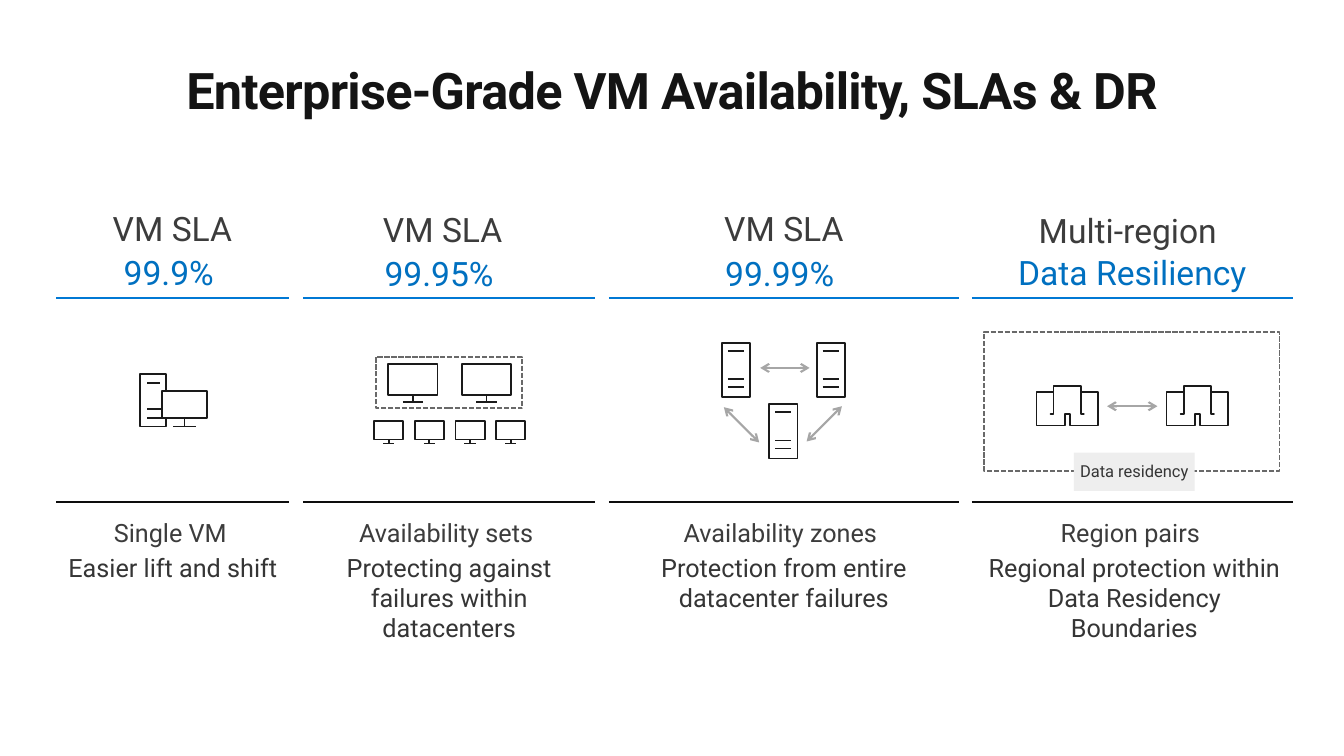
from lxml.etree import SubElement
from pptx import Presentation
from pptx.dml.color import RGBColor
from pptx.enum.dml import MSO_LINE_DASH_STYLE as Dash
from pptx.enum.shapes import MSO_CONNECTOR_TYPE as Connector, MSO_SHAPE as Shape
from pptx.enum.text import MSO_ANCHOR as Anchor, PP_ALIGN as Align
from pptx.oxml.ns import qn
from pptx.util import Inches, Pt

FONT = "Roboto"
TITLE_INK = RGBColor(0x14, 0x14, 0x14)
HEADING_INK = RGBColor(0x3C, 0x3C, 0x3C)
BODY_INK = RGBColor(0x35, 0x35, 0x35)
VALUE_BLUE = RGBColor(0x00, 0x70, 0xC0)
RULE_BLUE = RGBColor(0x00, 0x78, 0xD4)
RULE_BLACK = RGBColor(0x0D, 0x0D, 0x0D)
ICON_INK = RGBColor(0x1A, 0x1A, 0x1A)
DASH_GREY = RGBColor(0x69, 0x69, 0x69)
ARROW_GREY = RGBColor(0xA6, 0xA6, 0xA6)
LABEL_FILL = RGBColor(0xEE, 0xEE, 0xEE)

COLUMNS = [
    (0.56, 2.31, "Single VM", "Easier lift and shift"),
    (3.01, 2.89, "Availability sets", "Protecting against failures within datacenters"),
    (6.04, 3.47, "Availability zones", "Protection from entire datacenter failures"),
    (9.64, 3.18, "Region pairs", "Regional protection within Data Residency Boundaries"),
]
CAPTION_BOXES = [(0.56, 2.26, 2.31), (3.01, 2.83, 2.89), (6.04, 3.4, 3.47), (9.69, 3.04, 3.12)]
HEADINGS = [
    ("VM SLA", 1.01, 2.01, 1.4, HEADING_INK),
    ("99.9% ", 1.12, 2.45, 1.19, VALUE_BLUE),
    ("VM SLA", 3.69, 2.02, 1.4, HEADING_INK),
    ("99.95%", 3.65, 2.46, 1.41, VALUE_BLUE),
    ("VM SLA", 6.04, 2.01, 3.47, HEADING_INK),
    ("99.99% ", 6.04, 2.46, 3.47, VALUE_BLUE),
    ("Multi-region", 9.64, 2.03, 3.09, HEADING_INK),
    ("Data Resiliency", 9.64, 2.45, 3.18, VALUE_BLUE),
]
BUILDING = [
    (0.28, 0.39), (0, 0.39), (0, 0.06), (0.17, 0.06), (0.17, 0.28), (0.14, 0.28),
    (0.17, 0.28), (0.17, 0), (0.44, 0), (0.44, 0.28), (0.47, 0.28), (0.44, 0.28),
    (0.44, 0.06), (0.61, 0.06), (0.61, 0.39), (0.33, 0.39), (0.33, 0.28),
    (0.28, 0.28), (0.28, 0.39),
]


def write(frame, text, size, color, bold=False):
    para = frame.paragraphs[0]
    para.alignment = Align.CENTER
    span = para.add_run()
    span.text = text
    span.font.name = FONT
    span.font.size = Pt(size)
    span.font.bold = bold
    span.font.color.rgb = color
    return span


def add_text(page, text, left, top, width, height, size, color, bold=False):
    box = page.shapes.add_textbox(Inches(left), Inches(top), Inches(width), Inches(height))
    box.text_frame.word_wrap = True
    return box, write(box.text_frame, text, size, color, bold)


def add_title(page):
    box, span = add_text(page, "Enterprise-Grade VM Availability, SLAs & DR",
                         0, 0.49, 13.33, 0.98, 36, TITLE_INK, True)
    box.text_frame.margin_top = Inches(0.1)
    span._r.get_or_add_rPr().set("spc", "-50")


def add_line(page, start, end, color, width=1.25, arrows=False):
    points = [Inches(value) for value in (*start, *end)]
    line = page.shapes.add_connector(Connector.STRAIGHT, *points)
    line.line.color.rgb = color
    line.line.width = Pt(width)
    properties = line.element.spPr
    if arrows:
        for tag in ("a:headEnd", "a:tailEnd"):
            SubElement(properties.find(qn("a:ln")), qn(tag), type="arrow")
    SubElement(properties, qn("a:effectLst"))


def add_arrow(page, start, end):
    add_line(page, start, end, ARROW_GREY, 1.5, True)


def add_icon(page, left, top, strokes):
    placed = [[(Inches(left + x), Inches(top + y)) for x, y in stroke] for stroke in strokes]
    builder = page.shapes.build_freeform(*placed[0][0])
    for number, stroke in enumerate(placed):
        if number:
            builder.move_to(*stroke[0])
        builder.add_line_segments(stroke[1:], close=False)
    icon = builder.convert_to_shape()
    icon.shadow.inherit = False
    icon.fill.background()
    icon.line.color.rgb = ICON_INK
    icon.line.width = Pt(1.25)


def outline(width, height):
    return [(0, 0), (width, 0), (width, height), (0, height), (0, 0)]


def add_monitor(page, left, top, width, screen, height, foot):
    middle = width / 2
    add_icon(page, left, top, [
        outline(width, screen),
        [(middle, screen), (middle, height)],
        [(middle - foot / 2, height), (middle + foot / 2, height)],
    ])


def add_server(page, left, top):
    vents = [[(0.06, y), (0.22, y)] for y in (0.08, 0.36, 0.44)]
    add_icon(page, left, top, [outline(0.28, 0.54), *vents])


def add_rectangle(page, left, top, width, height):
    box = page.shapes.add_shape(Shape.RECTANGLE, Inches(left), Inches(top),
                                Inches(width), Inches(height))
    box.shadow.inherit = False
    return box


def add_dashed_frame(page, left, top, width, height):
    box = add_rectangle(page, left, top, width, height)
    box.fill.background()
    box.line.color.rgb = DASH_GREY
    box.line.width = Pt(1.25)
    box.line.dash_style = Dash.SQUARE_DOT
    box.line.dash_style = Dash.SQUARE_DOT


def add_residency_label(page):
    box = add_rectangle(page, 10.65, 4.49, 1.2, 0.38)
    box.fill.solid()
    box.fill.fore_color.rgb = LABEL_FILL
    box.line.fill.background()
    frame = box.text_frame
    frame.margin_left = frame.margin_right = frame.margin_top = frame.margin_bottom = 0
    frame.vertical_anchor = Anchor.MIDDLE
    write(frame, "Data residency", 11.8, BODY_INK)
    frame.paragraphs[0].line_spacing = 0.9


def add_columns(page):
    for (left, width, name, detail), caption in zip(COLUMNS, CAPTION_BOXES):
        for top, color in ((2.96, RULE_BLUE), (4.98, RULE_BLACK)):
            add_line(page, (left, top), (left + width, top), color)
        text_left, name_width, detail_width = caption
        add_text(page, name, text_left, 5.08, name_width, 0.4, 18, HEADING_INK)
        add_text(page, detail, text_left, 5.43, detail_width, 1.03, 18, BODY_INK)
    for text, left, top, width, color in HEADINGS:
        add_text(page, text, left, top, width, 0.5, 24, color)


def add_single_machine(page):
    add_icon(page, 1.39, 3.71, [
        [(0.26, 0.17), (0.26, 0), (0, 0), (0, 0.52), (0.26, 0.52), (0.26, 0.44)],
        [(0.07, 0.09), (0.2, 0.09)],
        [(0.07, 0.35), (0.22, 0.35)],
        [(0.07, 0.44), (0.22, 0.44)],
    ])
    add_monitor(page, 1.61, 3.88, 0.44, 0.27, 0.35, 0.22)


def add_availability_set(page):
    for left in (3.85, 4.58):
        add_monitor(page, left, 3.61, 0.49, 0.31, 0.38, 0.2)
    add_dashed_frame(page, 3.73, 3.54, 1.45, 0.51)
    for number in range(4):
        add_monitor(page, 3.71 + number * 0.4033, 4.18, 0.29, 0.18, 0.22, 0.11)


def add_zones(page):
    for left, top in ((7.16, 3.4), (8.1, 3.4), (7.63, 4.01)):
        add_server(page, left, top)
    add_arrow(page, (7.54, 3.65), (8.03, 3.65))
    add_arrow(page, (7.18, 4.04), (7.53, 4.39))
    add_arrow(page, (8.35, 4.03), (8, 4.38))


def add_region_pair(page):
    for left in (10.28, 11.57):
        add_icon(page, left, 3.83, [BUILDING])
    add_arrow(page, (10.98, 4.03), (11.48, 4.03))
    add_dashed_frame(page, 9.76, 3.29, 2.93, 1.38)
    add_residency_label(page)


def main():
    deck = Presentation()
    deck.slide_width = Inches(13.33)
    deck.slide_height = Inches(7.5)
    page = deck.slides.add_slide(deck.slide_layouts[6])
    add_title(page)
    add_columns(page)
    add_single_machine(page)
    add_availability_set(page)
    add_zones(page)
    add_region_pair(page)
    deck.save("out.pptx")


if __name__ == "__main__":
    main()
